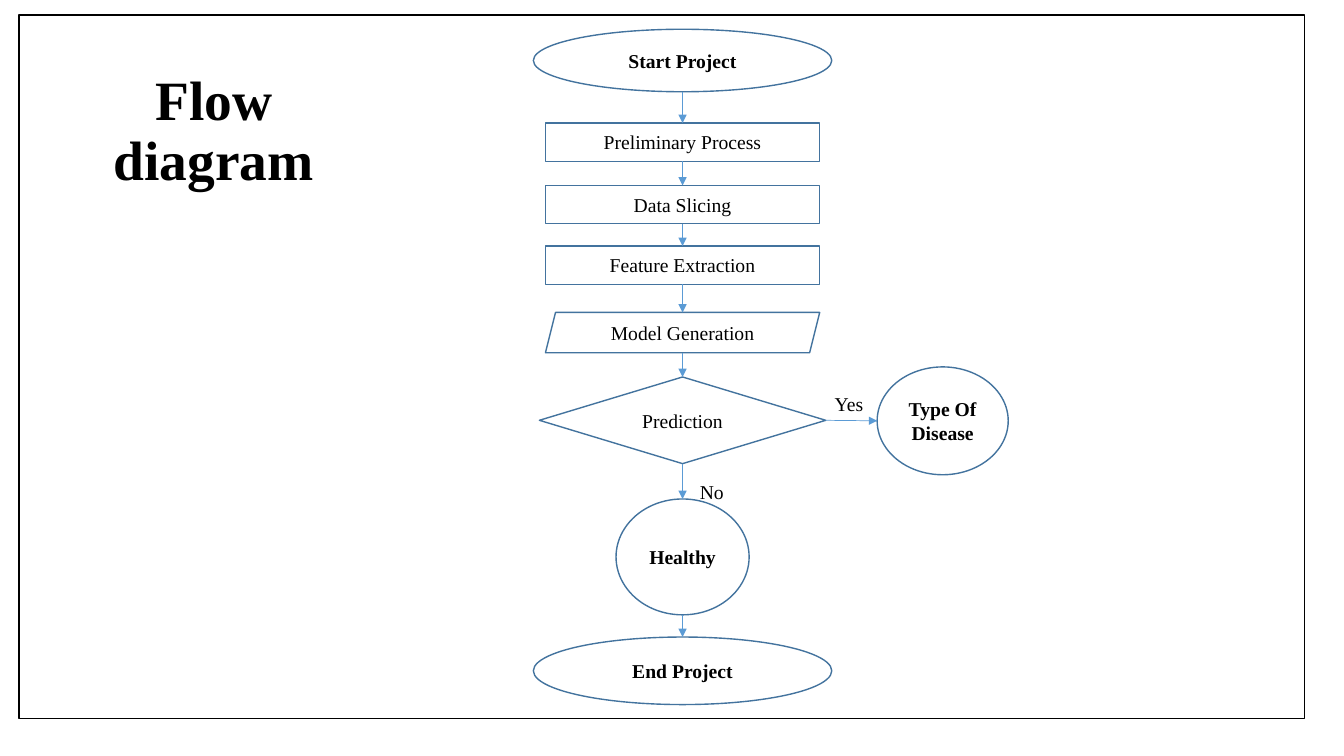
from itertools import pairwise

from lxml.etree import SubElement
from pptx import Presentation
from pptx.dml.color import RGBColor
from pptx.enum.shapes import MSO_CONNECTOR, MSO_SHAPE as SHAPE
from pptx.enum.text import MSO_ANCHOR as ANCHOR, PP_ALIGN as ALIGN
from pptx.oxml.ns import qn
from pptx.util import Inches, Pt

COLORS = {"ink": "000000", "outline": "43739E", "arrow": "5B9BD5"}
FONT = "Times New Roman"
AXIS = 6.77
TOP, LEFT, BOTTOM, RIGHT = range(4)
JOINABLE = (SHAPE.RECTANGLE, SHAPE.DIAMOND)

STEPS = [
    ("Start Project", SHAPE.OVAL, 0.29, 2.96, 0.62, True),
    ("Preliminary Process", SHAPE.RECTANGLE, 1.22, 2.72, 0.38, False),
    ("Data Slicing", SHAPE.RECTANGLE, 1.84, 2.72, 0.38, False),
    ("Feature Extraction", SHAPE.RECTANGLE, 2.44, 2.72, 0.38, False),
    ("Model Generation", SHAPE.PARALLELOGRAM, 3.1, 2.72, 0.4, False),
    ("Prediction", SHAPE.DIAMOND, 3.74, 2.84, 0.86, False),
    ("Healthy", SHAPE.OVAL, 4.95, 1.32, 1.15, True),
    ("End Project", SHAPE.OVAL, 6.32, 2.96, 0.67, True),
]


def rgb(name):
    """Return the named colour."""
    return RGBColor.from_string(COLORS[name])


def write_text(shape, text, size=14, bold=False, anchor=ANCHOR.MIDDLE, spacing=1.0):
    """Put one centred, wrapped paragraph into a shape."""
    frame = shape.text_frame
    frame.word_wrap = True
    frame.vertical_anchor = anchor
    paragraph = frame.paragraphs[0]
    paragraph.alignment = ALIGN.CENTER
    paragraph.line_spacing = spacing
    run = paragraph.add_run()
    run.text = text
    run.font.color.rgb = rgb("ink")
    formats = {"name": FONT, "size": Pt(size), "bold": bold}
    for key, value in formats.items():
        setattr(run.font, key, value)


def add_outline(slide, kind, left, top, width, height, color="outline"):
    """Add an unfilled shape with a thin outline."""
    box = map(Inches, (left, top, width, height))
    shape = slide.shapes.add_shape(kind, *box)
    shape.shadow.inherit = False
    shape.fill.background()
    shape.line.color.rgb = rgb(color)
    shape.line.width = Pt(1)
    return shape


def add_step(slide, text, kind, top, width, height, bold, center=AXIS):
    """Add a flow step centred on a vertical axis."""
    step = add_outline(slide, kind, center - width / 2, top, width, height)
    write_text(step, text, bold=bold)
    return step


def add_label(slide, text, left, top, width, height, **formats):
    """Add a text box."""
    box = map(Inches, (left, top, width, height))
    write_text(slide.shapes.add_textbox(*box), text, **formats)


def side_point(shape, side):
    """Return the middle of one side of a shape."""
    middle = shape.left + shape.width // 2, shape.top + shape.height // 2
    return {
        TOP: (middle[0], shape.top),
        LEFT: (shape.left, middle[1]),
        BOTTOM: (middle[0], shape.top + shape.height),
        RIGHT: (shape.left + shape.width, middle[1]),
    }[side]


def add_arrow(slide, start, start_side, end, end_side):
    """Draw an arrow between the sides of two shapes."""
    points = side_point(start, start_side) + side_point(end, end_side)
    arrow = slide.shapes.add_connector(MSO_CONNECTOR.STRAIGHT, *points)
    arrow.line.color.rgb = rgb("arrow")
    arrow.line.width = Pt(0.5)
    if start.auto_shape_type in JOINABLE:
        arrow.begin_connect(start, start_side)
    if end.auto_shape_type in JOINABLE:
        arrow.end_connect(end, end_side)
    SubElement(arrow.line._get_or_add_ln(), qn("a:tailEnd"), type="triangle")
    SubElement(arrow._element.spPr, qn("a:effectLst"))


def main():
    """Build the flow diagram slide."""
    presentation = Presentation()
    presentation.slide_width = Inches(13.33)
    presentation.slide_height = Inches(7.5)
    slide = presentation.slides.add_slide(presentation.slide_layouts[6])

    add_outline(slide, SHAPE.RECTANGLE, 0.19, 0.15, 12.75, 6.98, "ink")
    add_label(slide, "Flow diagram", 0.57, 0.79, 3.1, 1.05,
              size=39.6, bold=True, spacing=0.9)

    steps = {step[0]: add_step(slide, *step) for step in STEPS}
    for upper, lower in pairwise(steps.values()):
        add_arrow(slide, upper, BOTTOM, lower, TOP)

    disease = add_step(slide, "Type Of Disease", SHAPE.OVAL, 3.64, 1.3, 1.07,
                       True, center=9.35)
    add_arrow(slide, steps["Prediction"], RIGHT, disease, LEFT)
    for text, left, top in [("Yes", 8.13, 3.84), ("No", AXIS, 4.71)]:
        add_label(slide, text, left, top, 0.58, 0.34, anchor=ANCHOR.TOP)

    presentation.save("out.pptx")


if __name__ == "__main__":
    main()
